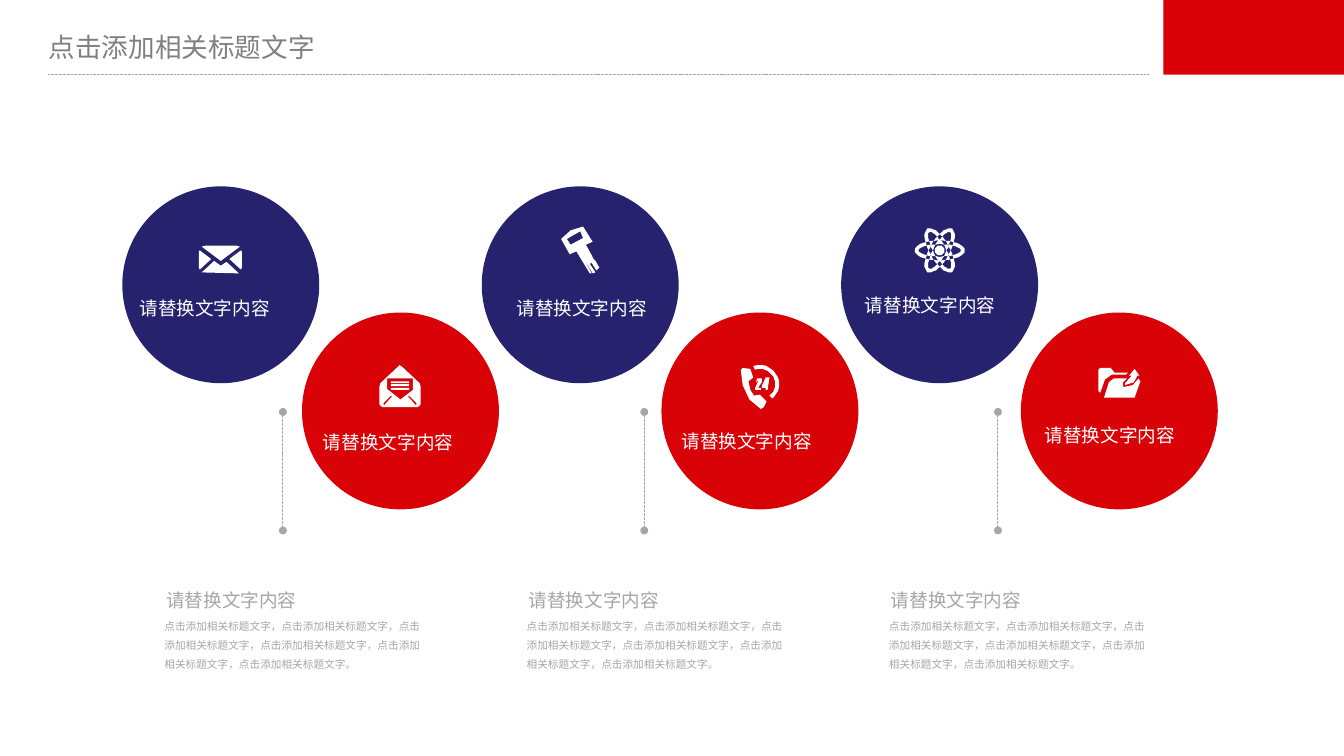
from dataclasses import dataclass
from math import cos, radians, sin

from lxml import etree
from pptx import Presentation
from pptx.dml.color import RGBColor
from pptx.enum.dml import MSO_LINE
from pptx.enum.shapes import MSO_CONNECTOR, MSO_SHAPE
from pptx.enum.text import MSO_ANCHOR, MSO_AUTO_SIZE, PP_ALIGN
from pptx.oxml.ns import qn
from pptx.util import Inches, Pt

RED = RGBColor(0xD8, 0x02, 0x07)
NAVY = RGBColor(0x26, 0x22, 0x6E)
WHITE = RGBColor(0xFF, 0xFF, 0xFF)
GREY = RGBColor(0xA6, 0xA6, 0xA6)
DARK = RGBColor(0x80, 0x80, 0x80)
ARIAL, NOTO = "Arial", "Noto Sans CJK SC"

TITLE = "点击添加相关标题文字"
LABEL = "请替换文字内容"
BODY = "，".join([TITLE] * 6) + "。"
SIZE = 2.06  # circle diameter
STEP = 1.88  # from one circle to the next

Path = list[tuple[float, float]]


def arc(x: float, y: float, wide: float, high: float, tilt: float = 0,
        first: int = 0, last: int = 360) -> Path:
    """Points along an ellipse, clockwise from the right."""
    turn = radians(tilt)
    path = []
    for angle in range(first, last + 1, 10):
        a, b = wide * cos(radians(angle)), high * sin(radians(angle))
        path.append((x + a * cos(turn) - b * sin(turn),
                     y + a * sin(turn) + b * cos(turn)))
    return path


def flip(path: Path, width: float) -> Path:
    return [(width - x, y) for x, y in path]


# Icon outlines in hundredths of an inch
SIDE = [(1, 25), (13, 14), (1, 5), (0, 6), (0, 23)]
FLAP = [(5, 42), (13, 33), (12, 32), (4, 40)]
MAIL = [
    [(7, 0), (39, 0), (43, 1), (23, 16), (3, 1)],
    SIDE, flip(SIDE, 45),
    [(42, 29), (3, 28), (16, 16), (23, 21), (29, 17)],
]
LETTER = [
    [(0, 22), (1, 19), (19, 2), (21, 0.5), (24, 2), (42, 19), (43, 22),
     *arc(39, 40, 4, 4, last=90), *arc(4, 40, 4, 4, first=90, last=180)],
    [(8, 14), (8, 25), (22, 36), (35, 26), (35, 14)],
    *[[(12, y), (12, y + 2), (31, y + 2), (31, y)] for y in (17, 20.5, 24)],
    FLAP, flip(FLAP, 43),
]
KEY = [
    [(0, 13), (10, 4), (23, 0), (33, 16), (26, 19), (32, 30), (34, 34),
     (36, 36), (40, 43), (37, 46), (32, 38), (30, 39), (36, 48), (33, 49),
     (21, 29), (32, 49), (30, 49), (16, 26), (9, 29)],
    [(6, 13), (10, 19), (23, 12), (20, 5)],
]
PHONE = [
    [(24, 43), (27, 37), (20, 30), (14, 31), (10, 25), (8, 16), (13, 12),
     (10, 3), (2, 2), (0, 4), (2, 20), (9, 35), (21, 45)],
    [(21, 25), (15, 25), (15, 23), (19, 14), (16, 17), (17, 13), (22, 13),
     (22, 17), (18, 23), (21, 23)],
    [(28, 25), (26, 25), (26, 23), (22, 23), (22, 21), (26, 12), (30, 12)],
    arc(20, 19, 20, 20, first=-110, last=50)
    + arc(20, 19, 16, 16, first=-110, last=50)[::-1],
]
ATOM = [arc(27, 25, 26 - gap, 10.5 - gap, tilt)
        for tilt in (0, 60, 120) for gap in (0, 4)] + [arc(27, 25, 5, 5)]
FOLDER = [
    [(31, 5), (17, 5), (13, 0), (2, 0), (0, 2), (0, 24), (2, 26), (7, 12),
     (14, 7), (29, 7)],
    [(35, 8), (32, 8), (38, 1), (43, 8), (41, 8), (37, 15), (28, 18), (28, 16)],
    [(38, 31), (6, 31), (11, 15), (16, 11), (30, 11), (26, 15), (26, 20),
     (36, 18), (42, 11), (44, 14)],
]


@dataclass
class Disc:
    icon: list[Path]
    spot: tuple[float, float]  # left and top of the icon
    text: tuple[float, float]  # left and top of the label
    align: PP_ALIGN = PP_ALIGN.LEFT


@dataclass
class Style:
    size: int
    font: str
    color: RGBColor
    lead: float = 1.2
    inset: float = 0.1


DISCS = [
    Disc(MAIL, (2.08, 2.57), (1.36, 3.01)),
    Disc(LETTER, (3.97, 3.82), (3.28, 4.41)),
    Disc(KEY, (5.87, 2.37), (5.01, 3.01), PP_ALIGN.CENTER),
    Disc(PHONE, (7.75, 3.83), (7.03, 4.4)),
    Disc(ATOM, (9.56, 2.37), (8.95, 2.98)),
    Disc(FOLDER, (11.49, 3.85), (10.83, 4.34)),
]

deck = Presentation()
deck.slide_width, deck.slide_height = Inches(14.06), Inches(7.91)
slide = deck.slides.add_slide(deck.slide_layouts[6])
shapes = slide.shapes


def paint(shape, color: RGBColor) -> None:
    shape.shadow.inherit = False
    shape.fill.solid()
    shape.fill.fore_color.rgb = color
    shape.line.fill.background()


def write(text: str, box: tuple[float, ...], style: Style,
          align: PP_ALIGN = PP_ALIGN.LEFT):
    frame = shapes.add_textbox(*map(Inches, box)).text_frame
    frame.word_wrap = True
    frame.auto_size = MSO_AUTO_SIZE.SHAPE_TO_FIT_TEXT
    frame.margin_left = frame.margin_right = Inches(style.inset)
    para = frame.paragraphs[0]
    para.alignment, para.line_spacing = align, style.lead
    run = para.add_run()
    run.text = text
    run.font.size, run.font.name = Pt(style.size), style.font
    run.font.color.rgb = style.color
    etree.SubElement(run.font._element, qn("a:ea"), typeface=style.font)
    return frame


def rule(start: tuple[float, float], end: tuple[float, float], width: float,
         dots: bool = False) -> None:
    line = shapes.add_connector(MSO_CONNECTOR.STRAIGHT, *map(Inches, start + end))
    line.line.color.rgb, line.line.width = GREY, Pt(width)
    line.line.dash_style = MSO_LINE.SQUARE_DOT
    if dots:
        for tip in ("a:headEnd", "a:tailEnd"):
            etree.SubElement(line.line._get_or_add_ln(), qn(tip), type="oval")
    etree.SubElement(line._element.spPr, qn("a:effectLst"))


def draw(icon: list[Path], spot: tuple[float, float]) -> None:
    pen = shapes.build_freeform(*icon[0][0], scale=Inches(0.01))
    for i, path in enumerate(icon):
        if i:
            pen.move_to(*path[0])
        pen.add_line_segments(path[1:], close=True)
    paint(pen.convert_to_shape(*map(Inches, spot)), WHITE)


# Header
rule((0.5, 0.78), (12.01, 0.78), 0.25)
paint(shapes.add_shape(MSO_SHAPE.RECTANGLE, *map(Inches, (12.17, 0, 1.9, 0.78))), RED)
head = write(TITLE, (0.4, 0.29, 3.35, 0.41), Style(20, NOTO, DARK, 1, 0.11))
head.auto_size, head.vertical_anchor = MSO_AUTO_SIZE.NONE, MSO_ANCHOR.MIDDLE

# Circles, high and low in turn
for n, disc in enumerate(DISCS):
    top, color = ((1.95, NAVY), (3.27, RED))[n % 2]
    box = map(Inches, (1.28 + n * STEP, top, SIZE, SIZE))
    paint(shapes.add_shape(MSO_SHAPE.OVAL, *box), color)
    draw(disc.icon, disc.spot)
    write(LABEL, (*disc.text, 2.15, 0.38), Style(14, ARIAL, WHITE), disc.align)

# Dotted links and notes
for n, x in enumerate((2.96, 6.74, 10.44)):
    rule((x, 4.31), (x, 5.55), 0.75, dots=True)
    left = 1.63 + n * 3.79
    write(BODY, (left, 6.37, 2.9, 0.7), Style(8, NOTO, GREY, 1.5, 0.09))
    write(LABEL, (left, 6.07, 2.66, 0.39), Style(14, ARIAL, GREY, 1.2, 0.11))

deck.save("out.pptx")
